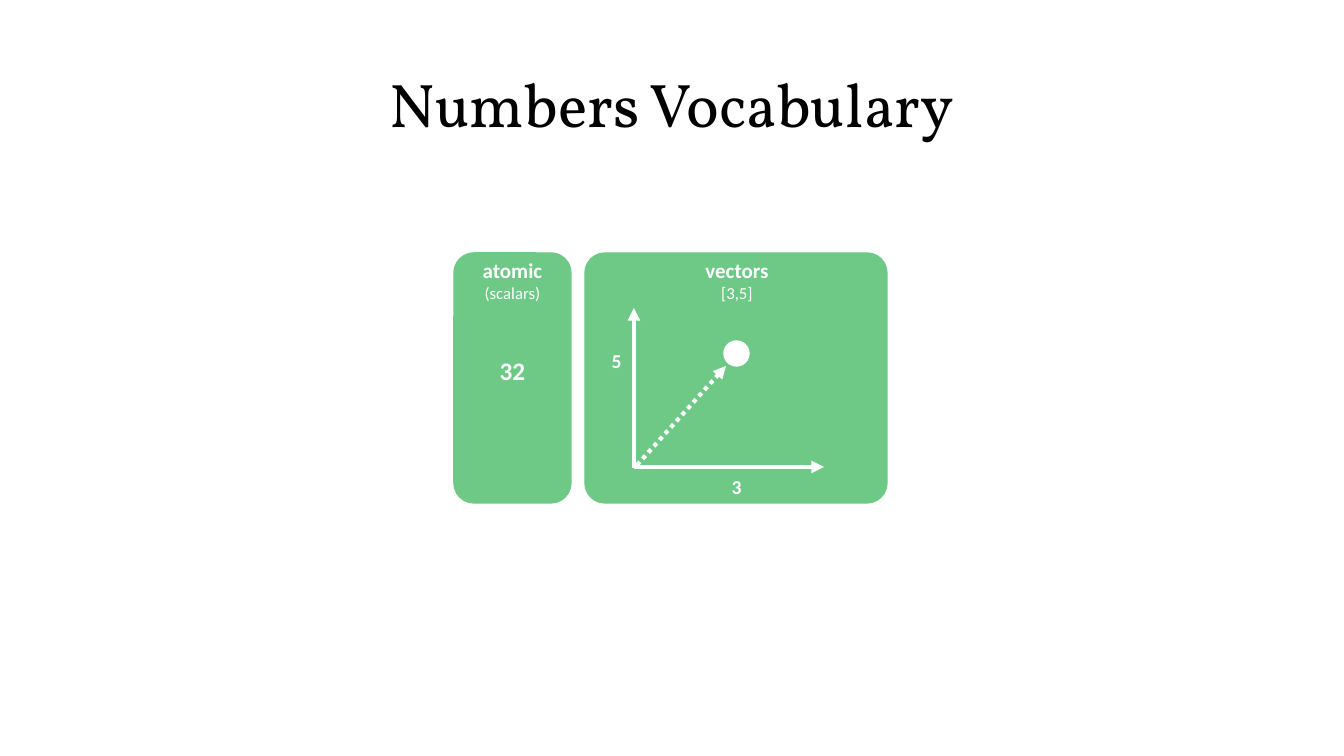
from pptx import Presentation
from pptx import util as u
from pptx.dml.color import RGBColor
from pptx.enum import dml, shapes, text
from pptx.oxml import ns
from lxml import etree

PX = 914400 / 100.8
COLORS = {"panel": "6EC987", "light": "FFFFFF", "title": "000000"}
BODY_FONT, TITLE_FONT = "Calibri", "Vollkorn"


def emu(*lengths):
    return [u.Emu(round(n * PX)) for n in lengths]


def rgb(name):
    return RGBColor.from_string(COLORS[name])


def add_text(slide, box, lines, font=BODY_FONT, color="light"):
    """Add centred lines, each given as (words, points, bold, points before)."""
    sp = slide.shapes.add_textbox(*emu(*box))
    tf = sp.text_frame
    tf.word_wrap = True
    for i, (words, size, bold, before) in enumerate(lines):
        p = tf.add_paragraph() if i else tf.paragraphs[0]
        p.text = words
        p.alignment = text.PP_ALIGN.CENTER
        p.space_before = u.Pt(before)
        r = p.runs[0]
        r.font.name, r.font.size, r.font.bold = font, u.Pt(size), bold
        r.font.color.rgb = rgb(color)
    return sp


def add_solid(slide, kind, box, color):
    sp = slide.shapes.add_shape(kind, *emu(*box))
    sp.shadow.inherit = False
    sp.fill.solid()
    sp.fill.fore_color.rgb = rgb(color)
    sp.line.color.rgb = rgb(color)
    sp.line.width = u.Pt(1)
    return sp


def add_panel(slide, box, radius=20):
    sp = add_solid(slide, shapes.MSO_SHAPE.ROUNDED_RECTANGLE, box, "panel")
    sp.adjustments[0] = radius / min(box[2:])


def add_arrow(slide, start, end, dash=None):
    cx = slide.shapes.add_connector(
        shapes.MSO_CONNECTOR.STRAIGHT, *emu(*start, *end))
    cx.line.color.rgb = rgb("light")
    cx.line.width = u.Pt(3)
    if dash:
        cx.line.dash_style = dash
    sp_pr = cx.line._get_or_add_ln().getparent()
    etree.SubElement(cx.line._get_or_add_ln(), ns.qn("a:tailEnd"), type="triangle")
    etree.SubElement(sp_pr, ns.qn("a:effectLst"))


def title(slide, box):
    sp = add_text(slide, box, [("Numbers Vocabulary", 44, False, 0)],
                  TITLE_FONT, "title")
    sp.text_frame.vertical_anchor = text.MSO_ANCHOR.BOTTOM
    sp.text_frame.paragraphs[0].line_spacing = 0.9


def scalar_panel(slide, box):
    add_panel(slide, box)
    add_text(slide, box, [("atomic", 15, True, 0), ("(scalars)", 12, False, 0),
                          ("32", 18, True, 37)])


def vector_panel(slide, box):
    x, y, w, h = box
    add_panel(slide, box)
    add_text(slide, (x + 2, y, w - 2, 56),
             [("vectors", 15, True, 0), ("[3,5]", 12, False, 0)])

    left, base = x + 49, y + 214
    add_arrow(slide, (left, base + 1), (left, base - 159))
    add_arrow(slide, (left, base), (left + 190, base))
    add_arrow(slide, (left + 3, base - 2), (left + 92, base - 101),
              dml.MSO_LINE.ROUND_DOT)
    add_solid(slide, shapes.MSO_SHAPE.OVAL,
              (left + 90, base - 126, 25, 25), "light")

    for value, dx, dy in (("3", 44, 3), ("5", -76, -123)):
        add_text(slide, (left + dx, base + dy, 117, 34), [(value, 14, True, 0)])


def main():
    prs = Presentation()
    prs.slide_width, prs.slide_height = emu(1344, 756)
    slide = prs.slides.add_slide(prs.slide_layouts[6])
    scalar_panel(slide, (454, 253, 117, 250))
    vector_panel(slide, (585, 253, 302, 250))
    title(slide, (0, 58, 1344, 88))
    prs.save("out.pptx")


if __name__ == "__main__":
    main()
